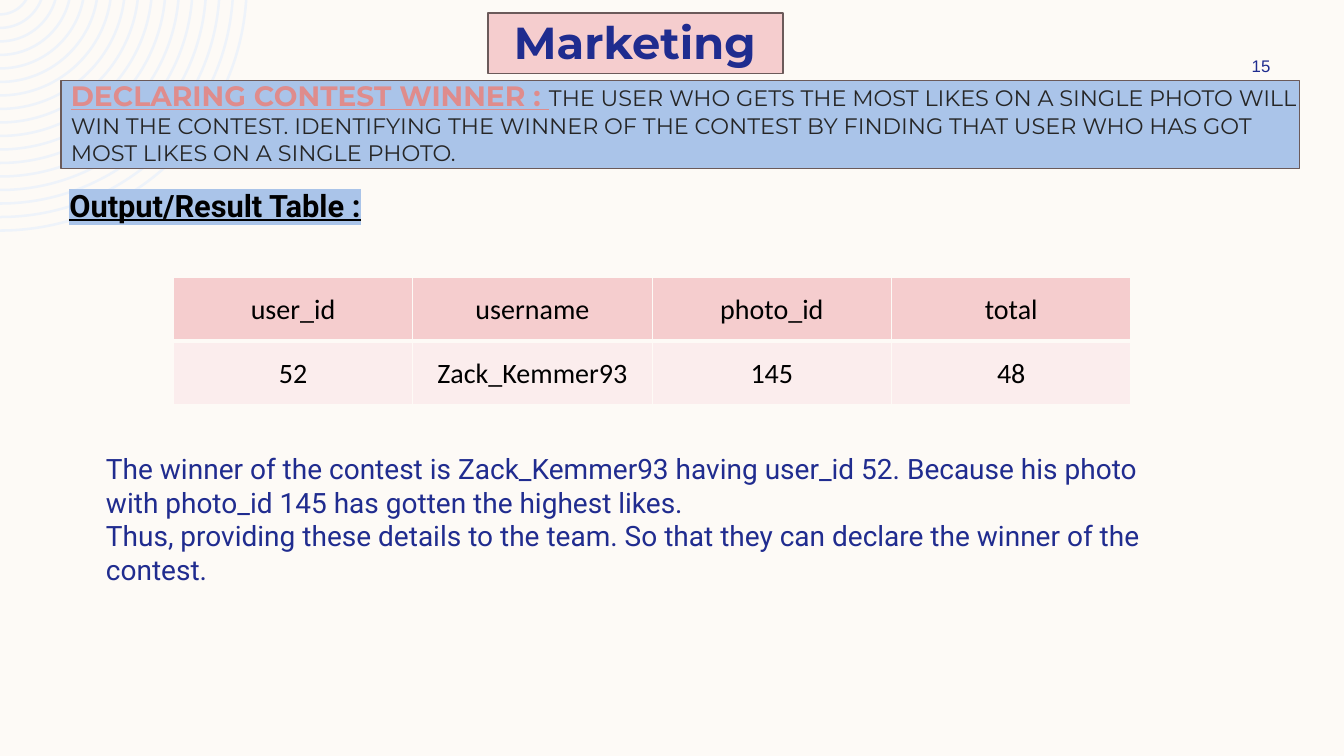
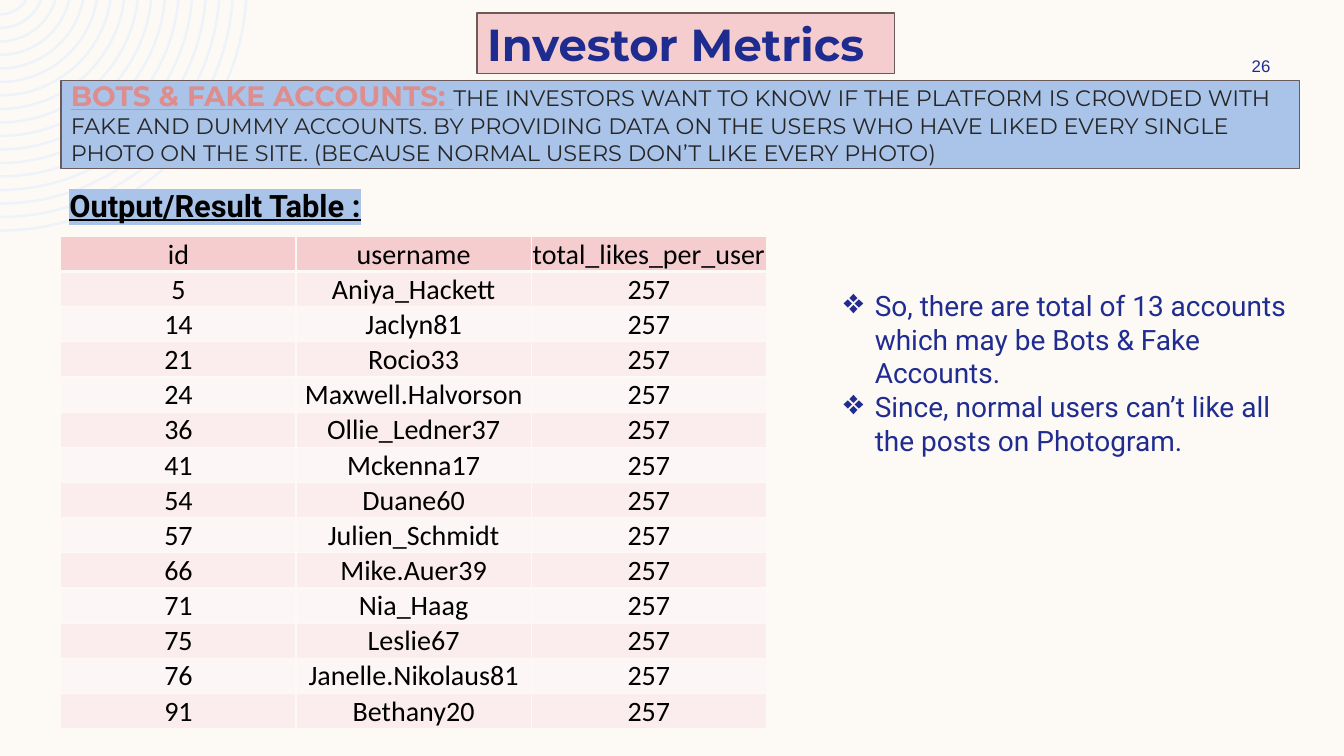
from math import asin, cos, pi, sin, tan

from lxml.etree import SubElement
from pptx import Presentation
from pptx.dml.color import RGBColor
from pptx.enum.shapes import MSO_SHAPE as SHAPE
from pptx.enum.text import MSO_ANCHOR as ANCHOR, PP_ALIGN as ALIGN
from pptx.oxml.ns import qn
from pptx.util import Inches, Pt

# Palette
CREAM = RGBColor(0xFD, 0xFA, 0xF6)
MIST = RGBColor(0xEE, 0xF3, 0xFA)
SKY = RGBColor(0xAA, 0xC4, 0xE9)
ROSE = RGBColor(0xF5, 0xCD, 0xCE)
ROSE_LIGHT = RGBColor(0xFB, 0xED, 0xED)
ROSE_PALE = RGBColor(0xFD, 0xF6, 0xF6)
CORAL = RGBColor(0xDF, 0x8C, 0x8C)
EDGE = RGBColor(0x6B, 0x5A, 0x5A)
NAVY = RGBColor(0x1F, 0x2C, 0x8F)
BODY_NAVY = RGBColor(0x20, 0x2C, 0x8F)
CHARCOAL = RGBColor(0x26, 0x26, 0x26)
BLACK = RGBColor(0, 0, 0)

# Grid of square cells: 133.33 columns by 75 rows
CELL = Inches(0.1)
COLS, ROWS = 133.33, 75
LEFT = 6.04

# Text styles: font attributes and colour
TITLE = dict(name="Montserrat", size=Pt(32), bold=True), NAVY
LEAD = dict(name="Montserrat", size=Pt(20), bold=True, underline=True), CORAL
TASK = dict(name="Montserrat", size=Pt(16)), CHARCOAL
HEADING = dict(name="Roboto", size=Pt(22), bold=True, underline=True), BLACK
BODY = dict(name="Roboto", size=Pt(20)), BODY_NAVY
NUMBER = dict(name="Arial", size=Pt(12)), NAVY
TABLE = dict(name="Calibri", size=Pt(20)), BLACK

# Content
USER_HEADER = ("user_id", "username", "photo_id", "total")
WINNER = ("52", "Zack_Kemmer93", "145", "48")
BOT_HEADER = ("id", "username", "total_likes_per_user")
LIKES = "257"
BOTS = (
    ("5", "Aniya_Hackett"), ("14", "Jaclyn81"), ("21", "Rocio33"),
    ("24", "Maxwell.Halvorson"), ("36", "Ollie_Ledner37"),
    ("41", "Mckenna17"), ("54", "Duane60"), ("57", "Julien_Schmidt"),
    ("66", "Mike.Auer39"), ("71", "Nia_Haag"), ("75", "Leslie67"),
    ("76", "Janelle.Nikolaus81"), ("91", "Bethany20"),
)


def grid(*cells):
    return [round(c * CELL) for c in cells]


def add_run(p, text, style):
    attributes, color = style
    r = p.add_run()
    r.text = text
    for key, value in attributes.items():
        setattr(r.font, key, value)
    r.font.color.rgb = color
    return r


def highlight(r, color):
    latin = r.font._element.find(qn("a:latin"))
    mark = SubElement(r.font._element, qn("a:highlight"))
    SubElement(mark, qn("a:srgbClr"), val=str(color))
    latin.addprevious(mark)


def bullet(p, char, indent):
    pPr = p._p.get_or_add_pPr()
    pPr.set("marL", str(indent))
    pPr.set("indent", str(-indent))
    SubElement(pPr, qn("a:buSzPct"), val="125000")
    SubElement(pPr, qn("a:buChar"), char=char)


def add_text(s, area, paragraphs, anchor=ANCHOR.TOP, align=ALIGN.LEFT):
    """Each paragraph is a list of (text, style) runs."""
    tf = s.shapes.add_textbox(*grid(*area)).text_frame
    tf.word_wrap = True
    tf.vertical_anchor = anchor
    for i, runs in enumerate(paragraphs):
        p = tf.add_paragraph() if i else tf.paragraphs[0]
        p.alignment = align
        for text, style in runs:
            add_run(p, text, style)
    return tf


def add_panel(s, area, fill):
    sp = s.shapes.add_shape(SHAPE.RECTANGLE, *grid(*area))
    sp.shadow.inherit = False
    sp.fill.solid()
    sp.fill.fore_color.rgb = fill
    sp.line.color.rgb = EDGE
    sp.line.width = Pt(1)


def arc(radius, center_row):
    """Bezier points from the top edge of the slide to its left edge."""
    start = asin(-center_row / radius)
    pull = radius * 4 / 3 * tan((pi / 2 - start) / 4)
    x, y = radius * cos(start), 0
    bottom = center_row + radius
    return [grid(x, y),
            grid(x - pull * sin(start), y + pull * cos(start)),
            grid(pull, bottom),
            grid(0, bottom)]


def curve(lines):
    """Turn three straight segments into one cubic curve."""
    bezier = SubElement(lines[0].getparent(), qn("a:cubicBezTo"))
    lines[0].addprevious(bezier)
    for line in lines:
        bezier.append(line[0])
        line.getparent().remove(line)


def add_rings(s, count=17, outer=24.6, gap=1.34, band=0.25, center_row=-1.6):
    builder = s.shapes.build_freeform(0, 0)
    for i in range(count):
        radius = outer - i * gap
        outline = arc(radius, center_row) + arc(radius - band, center_row)[::-1]
        builder.move_to(*outline[0])
        builder.add_line_segments(outline[1:], close=True)
    rings = builder.convert_to_shape()
    rings.shadow.inherit = False
    rings.fill.solid()
    rings.fill.fore_color.rgb = MIST
    rings.line.fill.background()

    # Each ring has seven segments: curve, straight end, curve
    lines = list(rings._element.iter(qn("a:lnTo")))
    for i in range(0, len(lines), 7):
        curve(lines[i:i + 3])
        curve(lines[i + 4:i + 7])
    return rings


def set_borders(cell, bottom):
    tcPr = cell._tc.get_or_add_tcPr()
    for side, points in dict(L=1, R=1, T=1, B=bottom).items():
        ln = SubElement(tcPr, qn(f"a:ln{side}"), w=str(Pt(points)))
        fill = SubElement(ln, qn("a:solidFill"))
        SubElement(fill, qn("a:srgbClr"), val=str(CREAM))


def add_table(s, left, top, width, row_height, rows):
    n_rows, n_cols = len(rows), len(rows[0])
    area = grid(left, top, width, row_height * n_rows)
    table = s.shapes.add_table(n_rows, n_cols, *area).table
    table.first_row = table.horz_banding = False
    margins = dict(margin_left=Inches(0.01), margin_right=Inches(0.01),
                   margin_top=Inches(0.01), margin_bottom=0)
    for i, values in enumerate(rows):
        band = ROSE if i == 0 else (ROSE_PALE, ROSE_LIGHT)[i % 2]
        for j, value in enumerate(values):
            cell = table.cell(i, j)
            set_borders(cell, bottom=1 if i else 3)
            cell.fill.solid()
            cell.fill.fore_color.rgb = band
            cell.vertical_anchor = ANCHOR.MIDDLE
            for key, margin in margins.items():
                setattr(cell, key, margin)
            p = cell.text_frame.paragraphs[0]
            p.alignment = ALIGN.CENTER
            add_run(p, value, TABLE)


def add_result_slide(prs, title, panel, title_area, lead, task, number):
    """Task band, heading, title and number common to the slides."""
    s = prs.slides.add_slide(prs.slide_layouts[6])

    # Task band
    add_panel(s, (LEFT, 8, 122.9, 8.7), SKY)
    add_text(s, (LEFT, 7.3, 124.5, 10.1), [[(lead, LEAD), (task, TASK)]])

    # Heading above the table
    tf = add_text(s, (5.9, 18, 121.6, 5), [[("Output/Result Table :", HEADING)]])
    highlight(tf.paragraphs[0].runs[0], SKY)

    # Title and slide number
    add_panel(s, panel, ROSE)
    add_text(s, title_area, [[(title, TITLE)]], ANCHOR.MIDDLE)
    add_text(s, (119.7, 5, 10.8, 3), [[(number, NUMBER)]],
             ANCHOR.MIDDLE, ALIGN.CENTER)
    return s


def add_winner_slide(prs):
    s = add_result_slide(
        prs, "Marketing", (48.4, 1.3, 29.3, 6), (50, 2.6, 35, 3),
        "DECLARING CONTEST WINNER : ",
        "THE USER WHO GETS THE MOST LIKES ON A SINGLE PHOTO WILL WIN THE "
        "CONTEST. IDENTIFYING THE WINNER OF THE CONTEST BY FINDING THAT USER "
        "WHO HAS GOT MOST LIKES ON A SINGLE PHOTO.", "15")
    add_table(s, 17.2, 27.55, 95, 6.3, [USER_HEADER, WINNER])
    add_text(s, (9.53, 44.3, 107, 14.5), [
        [("The winner of the contest is Zack_Kemmer93 having user_id 52. "
          "Because his photo with photo_id 145 has gotten the highest likes.",
          BODY)],
        [("Thus, providing these details to the team. So that they can "
          "declare the winner of the contest.", BODY)],
    ])
    return s


def add_bots_slide(prs):
    s = add_result_slide(
        prs, "Investor Metrics", (47.34, 1.3, 41.4, 6), (47.34, 2.8, 44.1, 3),
        "BOTS & FAKE ACCOUNTS: ",
        "THE INVESTORS WANT TO KNOW IF THE PLATFORM IS CROWDED WITH FAKE AND "
        "DUMMY ACCOUNTS. BY PROVIDING DATA ON THE USERS WHO HAVE LIKED EVERY "
        "SINGLE PHOTO ON THE SITE. (BECAUSE NORMAL USERS DON’T LIKE EVERY "
        "PHOTO)", "26")
    add_table(s, LEFT, 23.45, 70, 3.49,
              [BOT_HEADER] + [(*bot, LIKES) for bot in BOTS])
    tf = add_text(s, (82.7, 28.15, 46.3, 17.8), [
        [("So, there are total of 13 accounts which may be Bots & Fake "
          "Accounts.", BODY)],
        [("Since, normal users can’t like all the posts on Photogram.", BODY)],
    ])
    for p in tf.paragraphs:
        bullet(p, "❖", Inches(0.31))


def set_master(prs, rings):
    """Give every slide the cream background and the corner rings."""
    master = prs.slide_master
    master.background.fill.solid()
    master.background.fill.fore_color.rgb = CREAM
    master.shapes._spTree.append(rings._element)


def main():
    prs = Presentation()
    prs.slide_width, prs.slide_height = grid(COLS, ROWS)
    winner_slide = add_winner_slide(prs)
    set_master(prs, add_rings(winner_slide))
    add_bots_slide(prs)
    prs.save("out.pptx")


if __name__ == "__main__":
    main()
